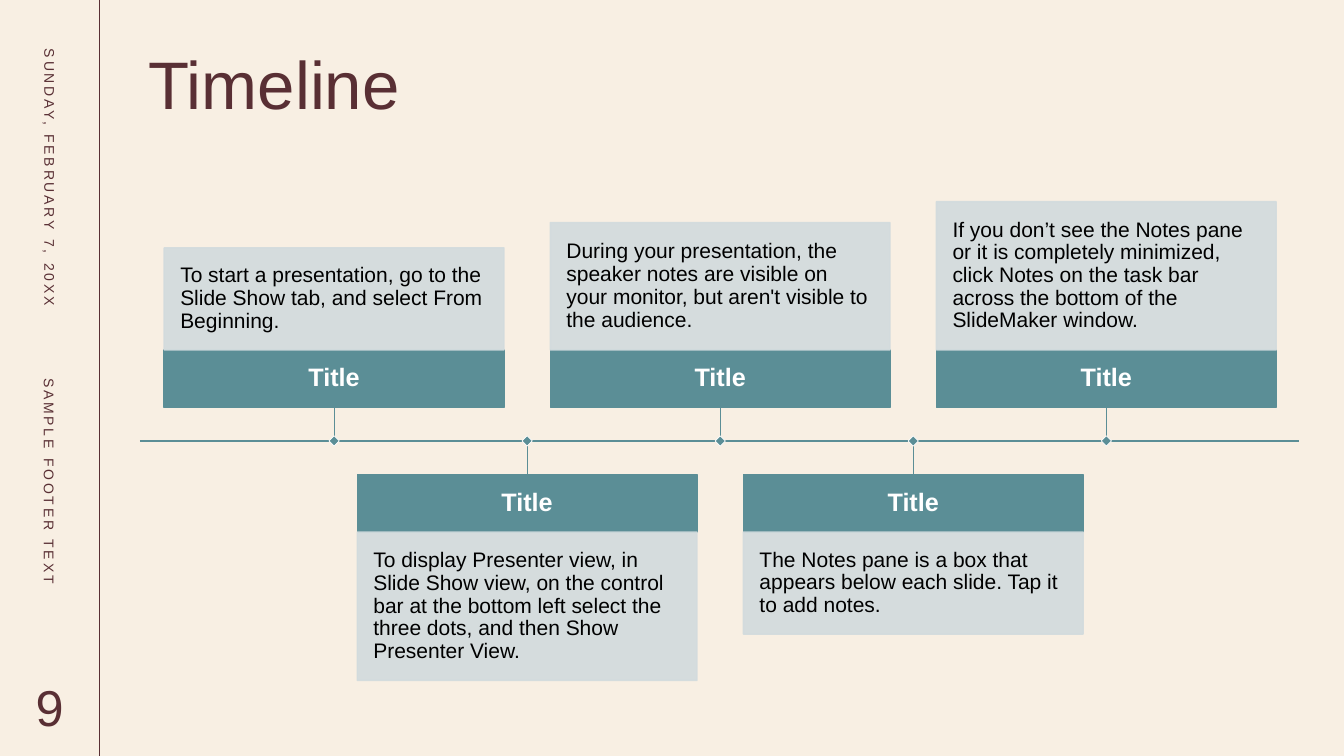
from dataclasses import dataclass

from lxml import etree
from pptx import Presentation
from pptx.dml.color import RGBColor
from pptx.enum.shapes import MSO_CONNECTOR, MSO_SHAPE
from pptx.enum.text import MSO_ANCHOR, MSO_AUTO_SIZE, PP_ALIGN
from pptx.oxml.ns import qn
from pptx.shapes.autoshape import Shape
from pptx.shapes.connector import Connector
from pptx.slide import Slide
from pptx.util import Pt

RECT = MSO_SHAPE.RECTANGLE
STRAIGHT = MSO_CONNECTOR.STRAIGHT
TOP, MIDDLE = MSO_ANCHOR.TOP, MSO_ANCHOR.MIDDLE
LEFT, CENTER = PP_ALIGN.LEFT, PP_ALIGN.CENTER
NO_FIT = MSO_AUTO_SIZE.NONE
TOP_SIDE, BOTTOM_SIDE = 0, 2


@dataclass(frozen=True)
class Theme:
    font: str = "Arial"
    paper: str = "F8EFE3"
    wine: str = "592F34"
    teal: str = "5B8E96"
    mist: str = "D2DBDD"
    white: str = "FFFFFF"
    black: str = "000000"
    title: float = 48
    number: float = 36
    head: float = 18
    body: float = 15
    side: float = 10


@dataclass(frozen=True)
class Box:
    left: float
    top: float
    width: float
    height: float


@dataclass(frozen=True)
class Style:
    size: float
    color: str
    align: PP_ALIGN = LEFT
    bold: bool = False
    spacing: float = 1.0
    tracking: float = 0


@dataclass(frozen=True)
class Step:
    note: str
    height: float


@dataclass(frozen=True)
class Label:
    text: str
    box: Box
    style: Style
    turn: float = 0
    pad: float = 0


THEME = Theme()
SIDE = Style(THEME.side, THEME.wine, tracking=2)
NUMBER = Style(THEME.number, THEME.wine, CENTER)
HEAD = Style(THEME.head, THEME.white, CENTER, True, 0.9)
BODY = Style(THEME.body, THEME.black, spacing=0.9)

WIDTH, HEIGHT = 960, 540
RAIL = 70.8
AXIS = 315
AXIS_START, AXIS_END = 100, 928
CARD_LEFT, CARD_STEP, CARD_WIDTH = 117.3, 137.9, 242.7
BAR_HEIGHT = 41
STEM = 24
DOT = 5.2

LABELS = [
    Label("SUNDAY, FEBRUARY 7, 20XX", Box(-73.5, 108.7, 218.2, RAIL), SIDE, 90, 5.8),
    Label("SAMPLE FOOTER TEXT", Box(-64, 334, 198.7, RAIL), SIDE, 90, 5.8),
    Label("9", Box(0, HEIGHT - RAIL, RAIL, RAIL), NUMBER),
]

STEPS = [
    Step("To start a presentation, go to the Slide Show tab, and select From "
         "Beginning.", 73),
    Step("To display Presenter view, in Slide Show view, on the control bar at "
         "the bottom left select the three dots, and then Show Presenter View.", 106),
    Step("During your presentation, the speaker notes are visible on your "
         "monitor, but aren't visible to the audience.", 91),
    Step("The Notes pane is a box that appears below each slide. Tap it to add "
         "notes.", 73),
    Step("If you don’t see the Notes pane or it is completely minimized, click "
         "Notes on the task bar across the bottom of the SlideMaker window.", 106),
]


def rgb(color: str) -> RGBColor:
    return RGBColor.from_string(color)


def write(shape: Shape, text: str, style: Style, anchor: MSO_ANCHOR,
          across: float, down: float) -> None:
    """Fill a shape with one styled paragraph, inset across and down."""
    frame = shape.text_frame
    frame.text = text
    frame.word_wrap = True
    frame.auto_size = NO_FIT
    frame.vertical_anchor = anchor
    frame.margin_left = frame.margin_right = Pt(across)
    frame.margin_top = frame.margin_bottom = Pt(down)
    para = frame.paragraphs[0]
    para.alignment = style.align
    para.line_spacing = style.spacing
    run = para.runs[0]
    run.font.name = THEME.font
    run.font.size = Pt(style.size)
    run.font.bold = style.bold
    run.font.color.rgb = rgb(style.color)
    if style.tracking:
        run._r.get_or_add_rPr().set("spc", str(int(style.tracking * 100)))


def add_rect(slide: Slide, box: Box, fill: str, line: str, weight: float) -> Shape:
    shape = slide.shapes.add_shape(
        RECT, Pt(box.left), Pt(box.top), Pt(box.width), Pt(box.height))
    shape.shadow.inherit = False
    shape.fill.solid()
    shape.fill.fore_color.rgb = rgb(fill)
    shape.line.color.rgb = rgb(line)
    shape.line.width = Pt(weight)
    return shape


def fade(shape: Shape, percent: int) -> None:
    """Set the opacity of a shape's fill and outline."""
    for color in shape._element.spPr.iter(qn("a:srgbClr")):
        etree.SubElement(color, qn("a:alpha")).set("val", str(percent * 1000))


def add_line(slide: Slide, x1: float, y1: float, x2: float, y2: float,
             color: str, weight: float) -> Connector:
    line = slide.shapes.add_connector(STRAIGHT, Pt(x1), Pt(y1), Pt(x2), Pt(y2))
    line.line.color.rgb = rgb(color)
    line.line.width = Pt(weight)
    etree.SubElement(line._element.spPr, qn("a:effectLst"))
    return line


def add_label(slide: Slide, label: Label) -> None:
    box = label.box
    shape = slide.shapes.add_textbox(
        Pt(box.left), Pt(box.top), Pt(box.width), Pt(box.height))
    shape.rotation = label.turn
    write(shape, label.text, label.style, MIDDLE, 0, label.pad)


def add_step(slide: Slide, index: int, step: Step) -> None:
    """Place a card above the axis for even indexes and below it for odd ones."""
    above = index % 2 == 0
    left = CARD_LEFT + index * CARD_STEP
    mid = left + CARD_WIDTH / 2
    bar_top = AXIS - STEM - BAR_HEIGHT if above else AXIS + STEM
    note_top = bar_top - step.height if above else bar_top + BAR_HEIGHT
    edge = AXIS - STEM if above else AXIS + STEM

    bar = add_rect(slide, Box(left, bar_top, CARD_WIDTH, BAR_HEIGHT),
                   THEME.teal, THEME.teal, 1)
    write(bar, "Title", HEAD, MIDDLE, 7.2, 7.2)

    note = add_rect(slide, Box(left, note_top, CARD_WIDTH, step.height),
                    THEME.mist, THEME.mist, 1)
    fade(note, 90)
    write(note, step.note, BODY, MIDDLE, 11.5, 11.5)

    stem = add_line(slide, mid, edge, mid, AXIS, THEME.teal, 0.5)
    stem.begin_connect(bar, BOTTOM_SIDE if above else TOP_SIDE)

    dot = add_rect(slide, Box(mid - DOT / 2, AXIS - DOT / 2, DOT, DOT),
                   THEME.teal, THEME.white, 0.5)
    dot.rotation = 45


def main() -> None:
    deck = Presentation()
    deck.slide_width, deck.slide_height = Pt(WIDTH), Pt(HEIGHT)
    slide = deck.slides.add_slide(deck.slide_layouts.get_by_name("Title Only"))
    slide.background.fill.solid()
    slide.background.fill.fore_color.rgb = rgb(THEME.paper)

    title = slide.shapes.title
    title.left, title.top = Pt(106), Pt(25)
    title.width, title.height = Pt(819.5), Pt(99.5)
    write(title, "Timeline", Style(THEME.title, THEME.wine), TOP, 0, 5)

    add_line(slide, RAIL, 0, RAIL, HEIGHT, THEME.wine, 0.75)
    for label in LABELS:
        add_label(slide, label)

    add_line(slide, AXIS_START, AXIS, AXIS_END, AXIS, THEME.teal, 1)
    for index, step in enumerate(STEPS):
        add_step(slide, index, step)
    deck.save("out.pptx")


if __name__ == "__main__":
    main()
